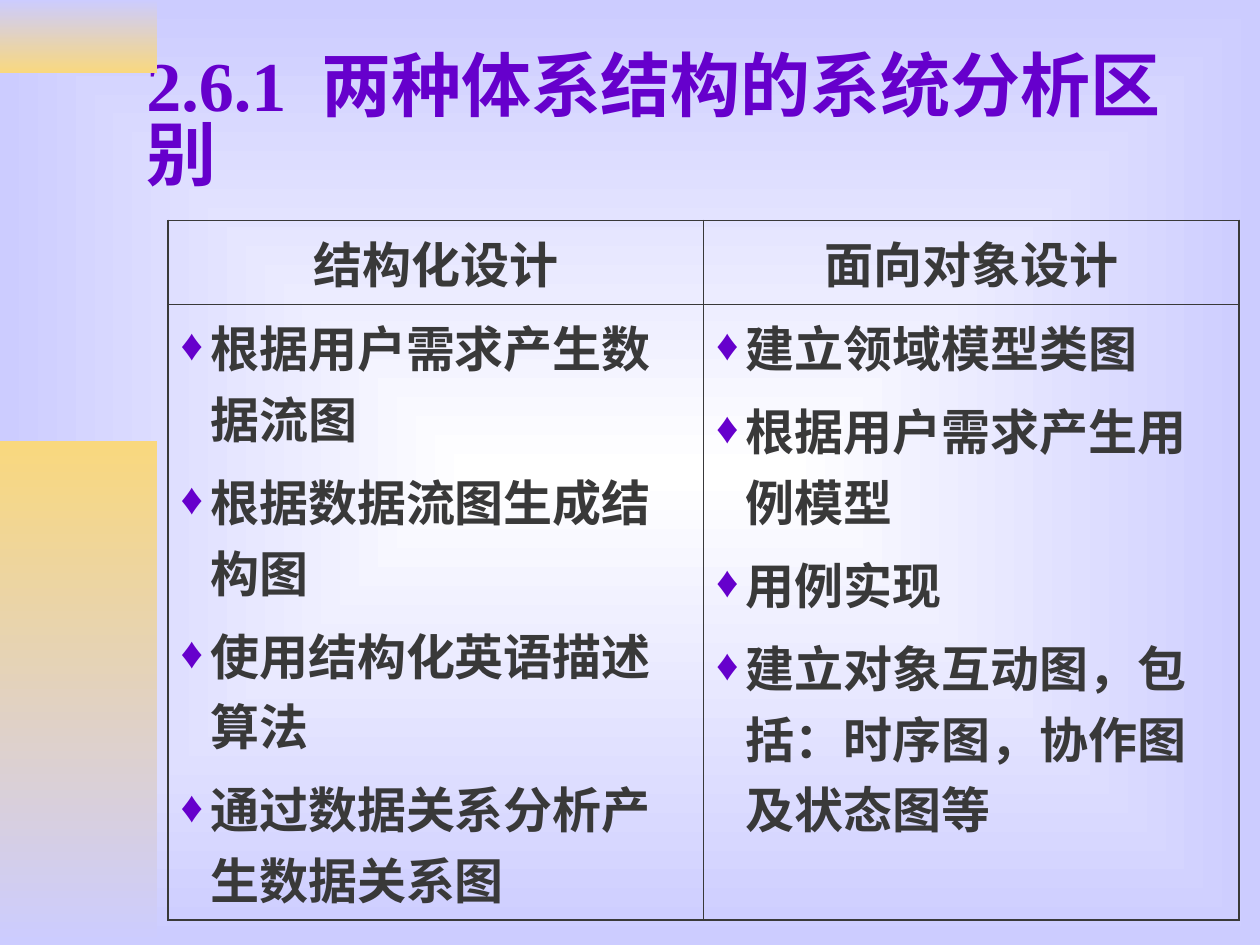
import pptx
import pptx.dml.color
import pptx.enum.shapes
import pptx.enum.text
import pptx.oxml
import pptx.oxml.ns
import pptx.util

Pt = pptx.util.Pt
RGBColor = pptx.dml.color.RGBColor
PURPLE = RGBColor(0x66, 0x00, 0xCC)
CHARCOAL = RGBColor(0x39, 0x39, 0x39)
LAVENDER = RGBColor(0xCC, 0xCC, 0xFF)
GOLD = RGBColor(0xF9, 0xD8, 0x7E)
WHITE = RGBColor(0xFF, 0xFF, 0xFF)
FONT = "Times New Roman"
NAMESPACE = pptx.oxml.ns.nsdecls("a")
THIN, THICK = 0.45, 1.08
COLUMNS = {
    "结构化设计": [
        "根据用户需求产生数据流图",
        "根据数据流图生成结构图",
        "使用结构化英语描述算法",
        "通过数据关系分析产生数据关系图",
    ],
    "面向对象设计": [
        "建立领域模型类图",
        "根据用户需求产生用例模型",
        "用例实现",
        "建立对象互动图，包括：时序图，协作图及状态图等",
    ],
}


def add_run(paragraph, text, size, color):
    """Append a bold run and return it."""
    run = paragraph.add_run()
    run.text = text
    run.font.name = FONT
    run.font.size = Pt(size)
    run.font.bold = True
    run.font.color.rgb = color
    return run


def set_background(slide):
    """Fill the background with a gradient that spreads from the centre."""
    fill = slide.background.fill
    fill.gradient()
    for stop, color in zip(fill.gradient_stops, (WHITE, LAVENDER)):
        stop.color.rgb = color
    gradient = slide.background._cSld.find(".//" + pptx.oxml.ns.qn("a:gradFill"))
    gradient.replace(
        gradient.find(pptx.oxml.ns.qn("a:lin")),
        pptx.oxml.parse_xml(
            f'<a:path {NAMESPACE} path="rect">'
            '<a:fillToRect l="50000" t="50000" r="50000" b="50000"/></a:path>'
        ),
    )


def add_side_band(slide, left, top, width, height, colors):
    """Add a rectangle that shades from the first colour down to the second."""
    band = slide.shapes.add_shape(
        pptx.enum.shapes.MSO_SHAPE.RECTANGLE, Pt(left), Pt(top), Pt(width), Pt(height)
    )
    band.shadow.inherit = False
    band.line.fill.background()
    band.fill.gradient()
    band.fill.gradient_angle = 270
    for stop, color in zip(band.fill.gradient_stops, colors):
        stop.color.rgb = color
        stop.position = colors.index(color)


def place_title(slide, left, top, width, height):
    """Place the title, with a widened gap after its section number."""
    title = slide.shapes.title
    title.left, title.top, title.width, title.height = map(Pt, (left, top, width, height))
    frame = title.text_frame
    frame.word_wrap = True
    frame.auto_size = pptx.enum.text.MSO_AUTO_SIZE.NONE
    frame.vertical_anchor = pptx.enum.text.MSO_ANCHOR.MIDDLE
    paragraph = frame.paragraphs[0]
    paragraph.alignment = pptx.enum.text.PP_ALIGN.LEFT
    paragraph.line_spacing = 0.83
    add_run(paragraph, "2.6.1", 40, PURPLE)
    gap = add_run(paragraph, " ", 40, PURPLE)
    gap.font._element.set("spc", "1000")
    add_run(paragraph, "两种体系结构的系统分析区别", 40, PURPLE)


def add_bullet(paragraph):
    """Give the paragraph a hanging diamond bullet."""
    properties = paragraph._p.get_or_add_pPr()
    properties.set("marL", str(Pt(17)))
    properties.set("indent", str(-Pt(17)))
    for element in (
        f'<a:buClr {NAMESPACE}><a:srgbClr val="{PURPLE}"/></a:buClr>',
        f'<a:buSzPct {NAMESPACE} val="90000"/>',
        f'<a:buFont {NAMESPACE} typeface="{FONT}"/>',
        f'<a:buChar {NAMESPACE} char="♦"/>',
    ):
        properties.append(pptx.oxml.parse_xml(element))


def format_cell(cell, row, column):
    """Clear the fill and draw thick outer and thin inner borders."""
    outer_edges = {"L": column == 0, "R": column == 1, "T": row == 0, "B": row == 1}
    properties = cell._tc.get_or_add_tcPr()
    for side, is_outer in outer_edges.items():
        width = Pt(THICK if is_outer else THIN)
        properties.append(pptx.oxml.parse_xml(
            f'<a:ln{side} {NAMESPACE} w="{width}"><a:solidFill>'
            f'<a:srgbClr val="{CHARCOAL}"/></a:solidFill></a:ln{side}>'
        ))
    cell.fill.background()


def add_comparison_table(slide, left, top, width, header_height, body_height):
    """Add the table that sets the two design methods side by side."""
    table = slide.shapes.add_table(
        2, len(COLUMNS), Pt(left), Pt(top), Pt(width), Pt(header_height + body_height)
    ).table
    table.first_row = table.horz_banding = False
    table.rows[0].height = Pt(header_height)
    table.rows[1].height = Pt(body_height)
    for column, (heading, items) in enumerate(COLUMNS.items()):
        table.columns[column].width = Pt(width / len(COLUMNS))
        header, body = table.cell(0, column), table.cell(1, column)
        format_cell(header, 0, column)
        format_cell(body, 1, column)
        paragraph = header.text_frame.paragraphs[0]
        paragraph.alignment = pptx.enum.text.PP_ALIGN.CENTER
        add_run(paragraph, heading, 28, CHARCOAL)
        frame = body.text_frame
        for index, item in enumerate(items):
            paragraph = frame.add_paragraph() if index else frame.paragraphs[0]
            if index:
                paragraph.space_before = Pt(7)
            add_bullet(paragraph)
            add_run(paragraph, item, 28, CHARCOAL)


def main():
    """Build the slide and save it."""
    presentation = pptx.Presentation()
    presentation.slide_width = Pt(720)
    presentation.slide_height = Pt(540)
    slide = presentation.slides.add_slide(presentation.slide_layouts[5])
    set_background(slide)
    add_side_band(slide, 0, 0, 90, 42, (LAVENDER, GOLD))
    add_side_band(slide, 0, 252, 90, 288, (GOLD, LAVENDER))
    place_title(slide, 76.5, 24, 631.5, 95)
    add_comparison_table(slide, 96, 126, 612, 48, 351)
    presentation.save("out.pptx")


if __name__ == "__main__":
    main()
